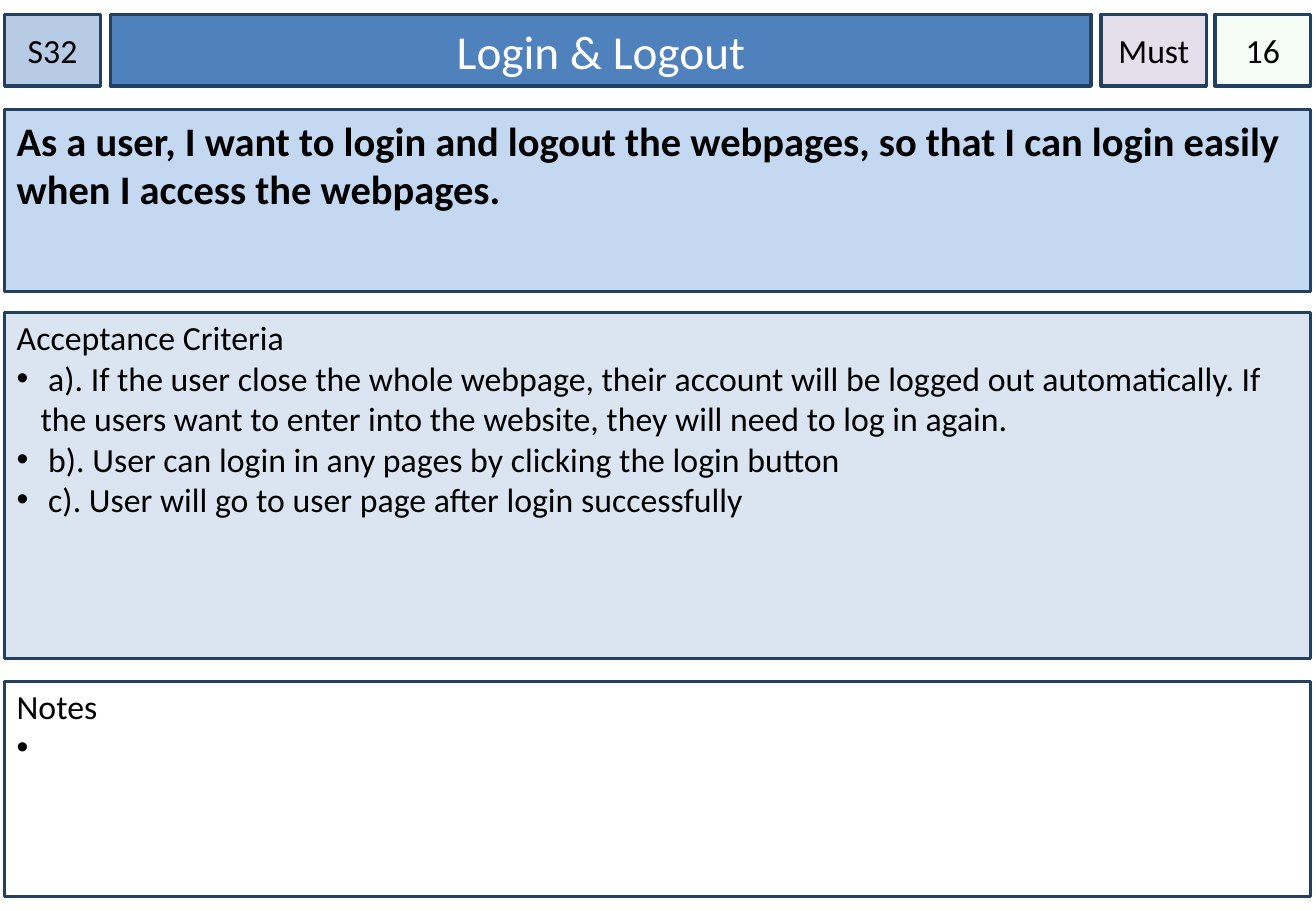
from lxml import etree
from pptx import Presentation
from pptx import util as u
from pptx.dml.color import RGBColor
from pptx.enum import shapes, text
from pptx.oxml.ns import qn

FONT = "Calibri"
BLACK = RGBColor(0x00, 0x00, 0x00)
WHITE = RGBColor(0xFF, 0xFF, 0xFF)
NAVY = RGBColor(0x24, 0x40, 0x61)
BLUE = RGBColor(0x4F, 0x81, 0xBD)
ID_BLUE = RGBColor(0xB7, 0xCC, 0xE4)
STORY_BLUE = RGBColor(0xC5, 0xD8, 0xF1)
CRITERIA_BLUE = RGBColor(0xDA, 0xE5, 0xF1)
LILAC = RGBColor(0xE5, 0xDF, 0xEC)
GREEN = RGBColor(0xCC, 0xF0, 0xCD)

LEFT, WIDTH = 0.1, 27.3
HEADER_TOP, HEADER_HEIGHT = 0.3, 1.5
BULLET_INDENT = u.Cm(0.5)


def style_box(sp, fill, anchor, side=0.25, top=0.13):
    sp.fill.solid()
    sp.fill.fore_color.rgb = fill
    sp.line.color.rgb = NAVY
    sp.line.width = u.Pt(2)
    tf = sp.text_frame
    tf.word_wrap = True
    tf.auto_size = text.MSO_AUTO_SIZE.NONE
    tf.vertical_anchor = anchor
    tf.margin_left = tf.margin_right = u.Cm(side)
    tf.margin_top, tf.margin_bottom = u.Cm(top), u.Cm(0.13)


def add_box(s, left, top, width, height):
    sp = s.shapes.add_shape(shapes.MSO_SHAPE.RECTANGLE, u.Cm(left), u.Cm(top),
                            u.Cm(width), u.Cm(height))
    sp.shadow.inherit = False
    return sp


def write(p, words, size=20, color=BLACK, bold=False, align=text.PP_ALIGN.LEFT):
    p.alignment = align
    r = p.add_run()
    r.text = words
    r.font.name = FONT
    r.font.size = u.Pt(size)
    r.font.bold = bold
    r.font.color.rgb = color


def add_bullet(p):
    pPr = p._p.get_or_add_pPr()
    pPr.set("marL", str(BULLET_INDENT))
    pPr.set("indent", str(-BULLET_INDENT))
    etree.SubElement(pPr, qn("a:buFont")).set("typeface", "Arial")
    etree.SubElement(pPr, qn("a:buChar")).set("char", "•")


def set_opacity(sp, percent):
    clr = sp._element.spPr.find(qn("a:solidFill"))[0]
    etree.SubElement(clr, qn("a:alpha")).set("val", str(percent * 1000))


def set_title(s, words, left, width):
    sp = s.shapes.title
    sp.left, sp.top = u.Cm(left), u.Cm(HEADER_TOP)
    sp.width, sp.height = u.Cm(width), u.Cm(HEADER_HEIGHT)
    style_box(sp, BLUE, text.MSO_ANCHOR.MIDDLE)
    write(sp.text_frame.paragraphs[0], words, 28, WHITE, align=text.PP_ALIGN.CENTER)


def add_tag(s, words, left, width, fill):
    sp = add_box(s, left, HEADER_TOP, width, HEADER_HEIGHT)
    style_box(sp, fill, text.MSO_ANCHOR.MIDDLE, side=0)
    write(sp.text_frame.paragraphs[0], words, align=text.PP_ALIGN.CENTER)
    return sp


def add_story(s, words, top, height):
    sp = add_box(s, LEFT, top, WIDTH, height)
    style_box(sp, STORY_BLUE, text.MSO_ANCHOR.TOP)
    write(sp.text_frame.paragraphs[0], words, 24, bold=True)


def add_list_panel(s, heading, items, top, height, fill):
    sp = add_box(s, LEFT, top, WIDTH, height)
    style_box(sp, fill, text.MSO_ANCHOR.TOP, top=0.1)
    tf = sp.text_frame
    write(tf.paragraphs[0], heading)
    for item in items:
        p = tf.add_paragraph()
        add_bullet(p)
        write(p, item)


def main():
    prs = Presentation()
    prs.slide_width, prs.slide_height = u.Cm(27.51), u.Cm(19.05)
    s = prs.slides.add_slide(prs.slide_layouts[5])

    add_tag(s, "S32", LEFT, 2, ID_BLUE)
    set_title(s, "Login & Logout", 2.31, 20.5)
    add_tag(s, "Must", 23.02, 2.2, LILAC)
    set_opacity(add_tag(s, "16", 25.4, 2, GREEN), 20)

    add_story(s, "As a user, I want to login and logout the webpages, "
                 "so that I can login easily when I access the webpages.", 2.29, 3.81)
    add_list_panel(s, "Acceptance Criteria", [
        " a). If the user close the whole webpage, their account will be logged out "
        "automatically. If the users want to enter into the website, they will need "
        "to log in again.",
        " b). User can login in any pages by clicking the login button",
        " c). User will go to user page after login successfully",
    ], 6.53, 7.24, CRITERIA_BLUE)
    add_list_panel(s, "Notes", [" "], 14.25, 4.5, WHITE)

    prs.save("out.pptx")


if __name__ == "__main__":
    main()
